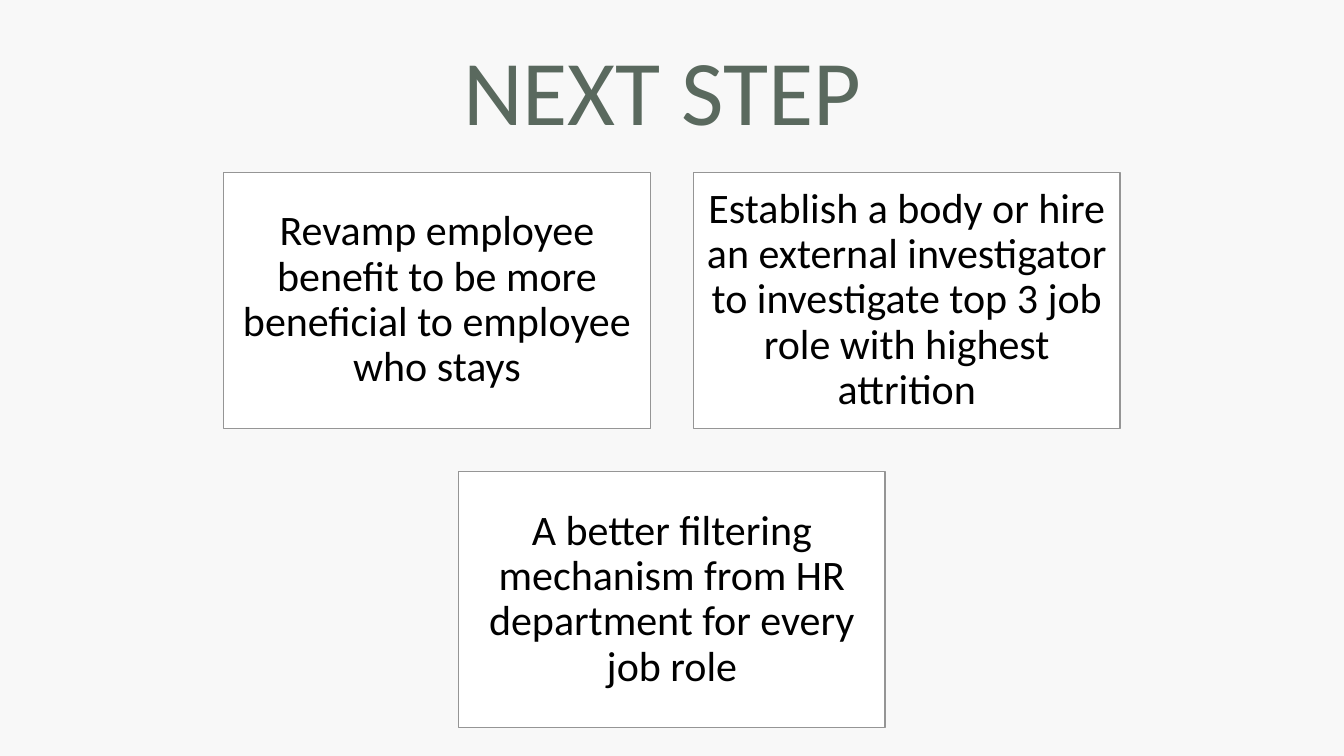
"""Build the "Next step" slide with three action cards."""
from dataclasses import dataclass

from pptx import Presentation
from pptx.dml.color import RGBColor
from pptx.enum import shapes, text
from pptx.util import Inches, Pt

COLORS = {"back": "F8F8F8", "title": "5A695E", "card": "FFFFFF",
          "border": "959595", "ink": "000000"}
SLIDE_W, SLIDE_H = 13.33, 7.5
CARD_W, CARD_H, GAP, TOP = 4.23, 2.54, 0.43, 1.71


@dataclass(frozen=True)
class Card:
    """One action card; offset counts card steps from the slide centre."""
    words: str
    offset: float
    row: int


CARDS = [
    Card("Revamp employee benefit to be more beneficial to employee who stays",
         -0.5, 0),
    Card("Establish a body or hire an external investigator to investigate "
         "top 3 job role with highest attrition", 0.5, 0),
    Card("A better filtering mechanism from HR department for every job role",
         0, 1),
]


def rgb(name: str) -> RGBColor:
    """Return a palette colour."""
    return RGBColor.from_string(COLORS[name])


def set_text(sp, words: str, size: int, color: str, inset_x: float,
             inset_y: float) -> None:
    """Write one centred paragraph into a shape."""
    tf = sp.text_frame
    frame_format = {
        "word_wrap": True, "auto_size": text.MSO_AUTO_SIZE.NONE,
        "vertical_anchor": text.MSO_ANCHOR.MIDDLE,
        "margin_left": Inches(inset_x), "margin_right": Inches(inset_x),
        "margin_top": Inches(inset_y), "margin_bottom": Inches(inset_y),
    }
    for key, value in frame_format.items():
        setattr(tf, key, value)
    p = tf.paragraphs[0]
    p.alignment, p.line_spacing = text.PP_ALIGN.CENTER, 0.9
    r = p.add_run()
    r.text = words
    for key, value in {"name": "Calibri", "size": Pt(size)}.items():
        setattr(r.font, key, value)
    r.font.color.rgb = rgb(color)


def add_title(s, words: str) -> None:
    """Place and fill the title placeholder."""
    sp = s.shapes.title
    box = {"left": 2.3, "top": 0.59, "width": 8.54, "height": 0.72}
    for key, value in box.items():
        setattr(sp, key, Inches(value))
    set_text(sp, words, 66, "title", 0.1, 0.05)


def add_card(s, card: Card) -> None:
    """Draw a bordered card with its text."""
    left = (SLIDE_W - CARD_W) / 2 + card.offset * (CARD_W + GAP)
    top = TOP + card.row * (CARD_H + GAP)
    sp = s.shapes.add_shape(shapes.MSO_SHAPE.RECTANGLE, Inches(left),
                            Inches(top), Inches(CARD_W), Inches(CARD_H))
    sp.shadow.inherit = False
    sp.fill.solid()
    sp.fill.fore_color.rgb = rgb("card")
    sp.line.color.rgb = rgb("border")
    sp.line.width = Pt(1)
    set_text(sp, card.words, 30, "ink", 0.12, 0.12)


def main() -> None:
    """Create and save the presentation."""
    prs = Presentation()
    prs.slide_width, prs.slide_height = Inches(SLIDE_W), Inches(SLIDE_H)
    s = prs.slides.add_slide(prs.slide_layouts[5])
    s.background.fill.solid()
    s.background.fill.fore_color.rgb = rgb("back")
    add_title(s, "NEXT STEP")
    for card in CARDS:
        add_card(s, card)
    prs.save("out.pptx")


if __name__ == "__main__":
    main()
